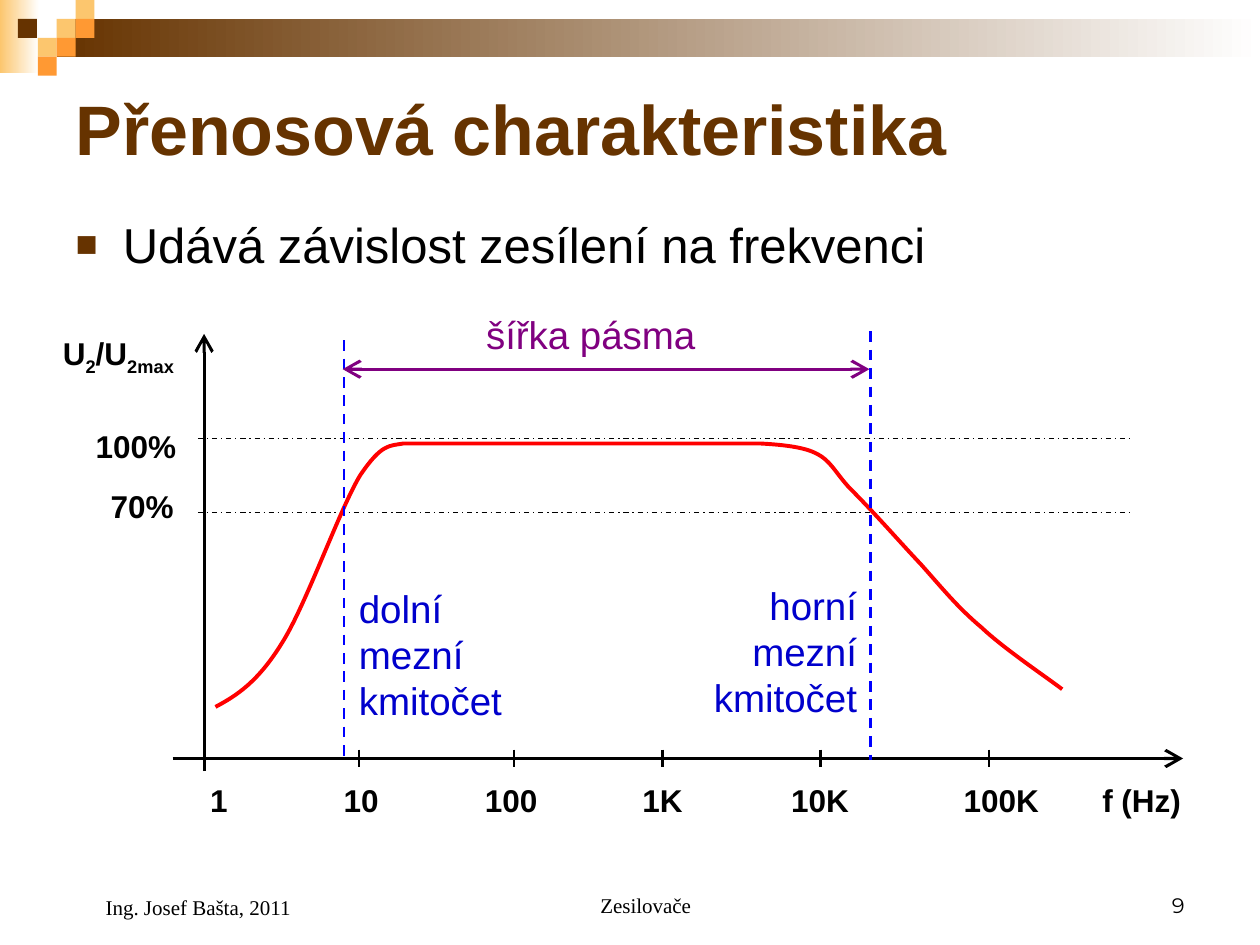
from dataclasses import dataclass
from lxml.etree import SubElement as Sub
from pptx import Presentation
from pptx.dml.color import RGBColor as Rgb
from pptx.enum.dml import MSO_LINE as Dash
from pptx.enum.shapes import MSO_CONNECTOR as Link, MSO_SHAPE as Kind
from pptx.enum.text import MSO_ANCHOR as Anchor, MSO_AUTO_SIZE as Fit, PP_ALIGN as Align
from pptx.oxml.ns import qn
from pptx.util import Inches, Pt

BLACK = Rgb(0, 0, 0)
WHITE = Rgb(255, 255, 255)
BROWN = Rgb(0x66, 0x33, 0x00)
SAND = Rgb(0xFC, 0xC6, 0x6E)
ORANGE = Rgb(0xFF, 0x99, 0x33)
RED = Rgb(255, 0, 0)
BLUE = Rgb(0, 0, 255)
NAVY = Rgb(0, 0, 0xCC)
PURPLE = Rgb(0x80, 0, 0x80)


@dataclass
class Grid:
    left: float
    top: float
    cell: float

    def spot(self, col, row):
        return Inches(self.left + col * self.cell), Inches(self.top + row * self.cell)

    def area(self, col, row, wide, high):
        return *self.spot(col, row), Inches(wide * self.cell), Inches(high * self.cell)


def write(shape, text, size=18, font="Arial", color=BLACK, bold=False,
          align=Align.LEFT, anchor=Anchor.TOP, indent=0, subs=()):
    frame = shape.text_frame
    frame.word_wrap = True
    frame.auto_size = Fit.NONE
    frame.vertical_anchor = anchor
    para = frame.paragraphs[0]
    para.alignment = align
    para.space_before = Pt(0)
    if indent:
        para._p.get_or_add_pPr().set("marL", str(Inches(indent)))
    for part in [text] if isinstance(text, str) else text:
        run = para.add_run()
        run.text = part
        run.font.size = Pt(size)
        run.font.name = font
        run.font.bold = bold
        run.font.color.rgb = color
        if part in subs:
            run._r.get_or_add_rPr().set("baseline", "-25000")
    return para


def label(host, grid, area, text, **style):
    return write(host.shapes.add_textbox(*grid.area(*area)), text, **style)


def stroke(host, grid, start, end, color=BLACK, width=1.75, dash=None, heads=()):
    line = host.shapes.add_connector(Link.STRAIGHT, *grid.spot(*start), *grid.spot(*end))
    line.line.color.rgb = color
    line.line.width = Pt(width)
    if dash:
        line.line.dash_style = dash
    for head in heads:
        Sub(line.line._get_or_add_ln(), qn(f"a:{head}"), type="arrow", w="lg", len="lg")
    Sub(line._element.spPr, qn("a:effectLst"))


def block(host, grid, area, color, fade=False):
    shape = host.shapes.add_shape(Kind.RECTANGLE, *grid.area(*area))
    shape.shadow.inherit = False
    shape.line.fill.background()
    if fade:
        shape.fill.gradient()
        shape.fill.gradient_angle = 0
        for stop, tint in zip(shape.fill.gradient_stops, (color, WHITE)):
            stop.color.rgb = tint
    else:
        shape.fill.solid()
        shape.fill.fore_color.rgb = color


def banner(slide, grid):
    group = slide.shapes.add_group_shape()
    block(group, grid, (0, 0, 2.07, 3.87), SAND, fade=True)
    block(group, grid, (3, 1, 63.67, 2), BROWN, fade=True)
    tiles = [(3, 1, SAND), (4, 0, SAND), (4, 1, ORANGE), (2, 2, SAND),
             (0.95, 1, BROWN), (3, 2, ORANGE), (2, 3, ORANGE)]
    for col, row, color in tiles:
        block(group, grid, (col, row, 1, 1), color)
    master = slide.slide_layout.slide_master
    master.shapes._spTree.insert(2, group._element)


def place(shape, area):
    shape.left, shape.top, shape.width, shape.height = area


def heading(slide, grid):
    title, body = slide.placeholders
    place(title, grid.area(0, 0, 9, 1.03))
    write(title, "Přenosová charakteristika", size=40, color=BROWN, bold=True,
          anchor=Anchor.MIDDLE)
    place(body, grid.area(0, 1.15, 9, 0.66))
    para = write(body, "Udává závislost zesílení na frekvenci", size=28, indent=0.375)
    props = para._p.get_or_add_pPr()
    props.set("indent", str(Inches(-0.375)))
    Sub(Sub(props, qn("a:buClr")), qn("a:srgbClr"), val=str(BROWN))
    Sub(props, qn("a:buSzPct"), val="75000")
    Sub(props, qn("a:buFont"), typeface="Arial")
    Sub(props, qn("a:buChar"), char="■")


def axes(host, grid):
    stroke(host, grid, (-2.5, 34), (77.7, 34), heads=["tailEnd"])
    stroke(host, grid, (0, 35), (0, 0.3), heads=["tailEnd"])
    for col in (12.3, 24.6, 36.4, 48.9, 62.3):
        stroke(host, grid, (col, 33.3), (col, 34.7), width=1.5)
    marks = [("1", -0.5, 4.2), ("10", 10.1, 5), ("100", 21.3, 7.7), ("1K", 33.8, 5.5),
             ("10K", 45.6, 7.2), ("100K", 59.3, 8.8), ("f (Hz)", 70.3, 8.8)]
    for text, col, wide in marks:
        label(host, grid, (col, 35.3, wide, 4), text, bold=True)
    label(host, grid, (-12.2, -0.2, 13.2, 4.4), ["U", "2", "/U", "2max"], bold=True,
          subs=("2", "2max"))
    for text, col, row, level in [("100%", -9.6, 7.2, 8.6), ("70%", -8.4, 12, 14.5)]:
        label(host, grid, (col, row, 9.5, 4), text, bold=True)
        stroke(host, grid, (-0.5, level), (73.6, level), width=0.75, dash=Dash.DASH_DOT)


def curve(host, grid):
    start = (0.9, 29.9)
    bends = [
        [(2.6, 29), (4.3, 27.9), (6.2, 24.8)],
        [(8.1, 21.8), (10.8, 14.1), (12.4, 11.5)],
        [(14.1, 9), (14.7, 9.2), (15.8, 9)],
        [(16.9, 9), (13.7, 9), (19.3, 9)],
        [(19.3, 9), (44.2, 9), (44.2, 9)],
        [(49.7, 9.3), (49.2, 10.3), (51.2, 12.5)],
        [(53.3, 14.6), (55.2, 16.8), (56.9, 18.6)],
        [(58.6, 20.5), (59.8, 22), (61.7, 23.6)],
        [(63.5, 25.3), (66.8, 27.5), (68.1, 28.5)],
    ]
    pen = host.shapes.build_freeform(*grid.spot(*start))
    pen.add_line_segments([grid.spot(*dots[-1]) for dots in bends], close=False)
    shape = pen.convert_to_shape()
    for line, dots in zip(list(shape._element.iter(qn("a:lnTo"))), bends):
        arc = Sub(line.getparent(), qn("a:cubicBezTo"))
        for dot in dots:
            x, y = grid.spot(*dot)
            Sub(arc, qn("a:pt"), x=str(x - shape.left), y=str(y - shape.top))
        line.getparent().replace(line, arc)
    shape.shadow.inherit = False
    shape.fill.background()
    shape.line.color.rgb = RED
    shape.line.width = Pt(2.25)


def band(host, grid):
    for col, top in ((11.1, 0.8), (52.9, 0.1)):
        stroke(host, grid, (col, top), (col, 34.1), BLUE, 1.5, Dash.DASH)
    label(host, grid, (11.3, 19.7, 14.1, 12), "dolní mezní kmitočet", size=22, color=NAVY)
    label(host, grid, (39, 19.5, 13.8, 12), "horní mezní kmitočet", size=22, color=NAVY,
          align=Align.RIGHT)
    label(host, grid, (21.4, -2, 26, 4.7), "šířka pásma", size=22, color=PURPLE)
    stroke(host, grid, (11, 3.1), (52.8, 3.1), PURPLE, heads=["headEnd", "tailEnd"])


def plot(slide, grid):
    group = slide.shapes.add_group_shape()
    for draw in (axes, curve, band):
        draw(group, grid)


def footer(slide, grid):
    style = dict(size=12, anchor=Anchor.BOTTOM)
    serif = dict(font="Times New Roman", indent=0.24)
    label(slide, grid, (2.92, 0, 3.17, 0.5), "Zesilovače", align=Align.CENTER, **style, **serif)
    label(slide, grid, (6.67, 0, 2.33, 0.5), "9", font="Montserrat", align=Align.RIGHT, **style)
    label(slide, grid, (0, 0, 2.33, 0.52), "Ing. Josef Bašta, 2011", **style, **serif)


def main():
    deck = Presentation()
    deck.slide_width, deck.slide_height = Inches(10), Inches(7.5)
    slide = deck.slides.add_slide(deck.slide_layouts[1])
    banner(slide, Grid(0, 0, 0.15))
    heading(slide, Grid(0.5, 0.5, 1))
    plot(slide, Grid(1.62, 2.62, 0.1))
    footer(slide, Grid(0.5, 6.83, 1))
    deck.save("out.pptx")


if __name__ == "__main__":
    main()
